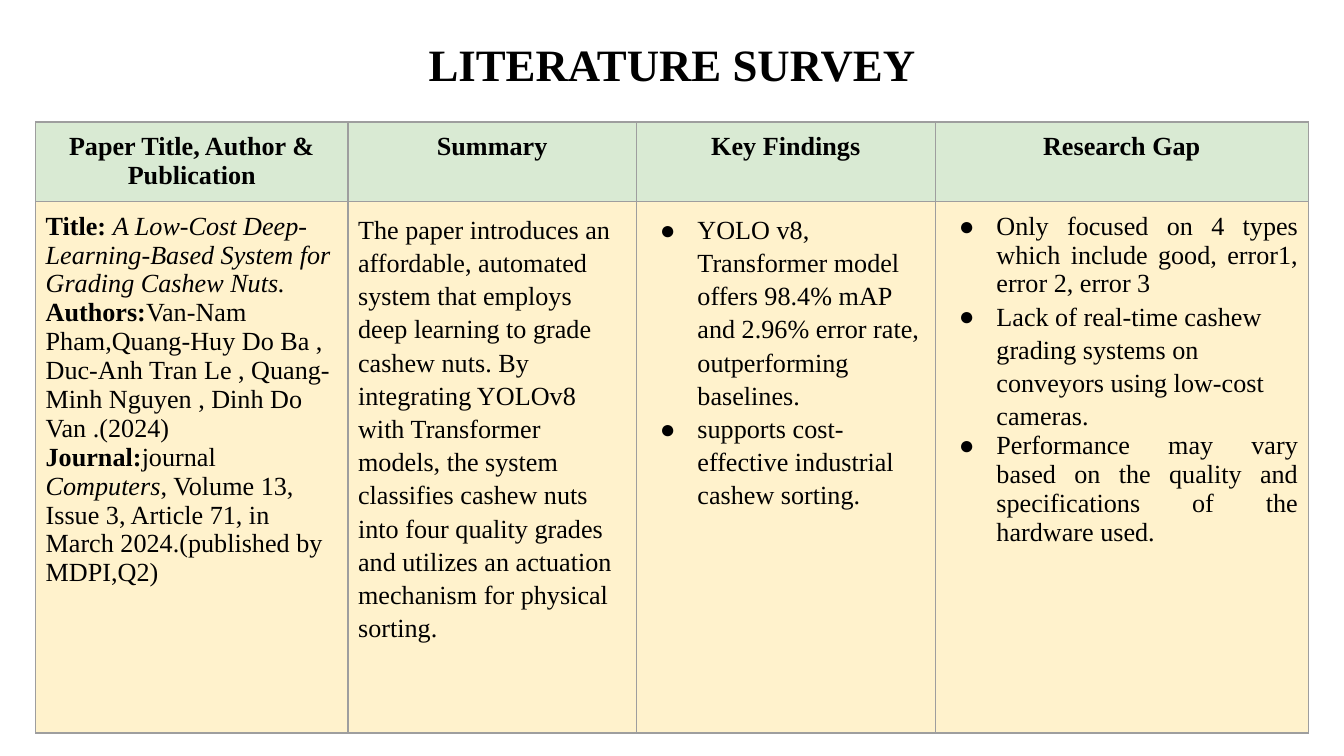
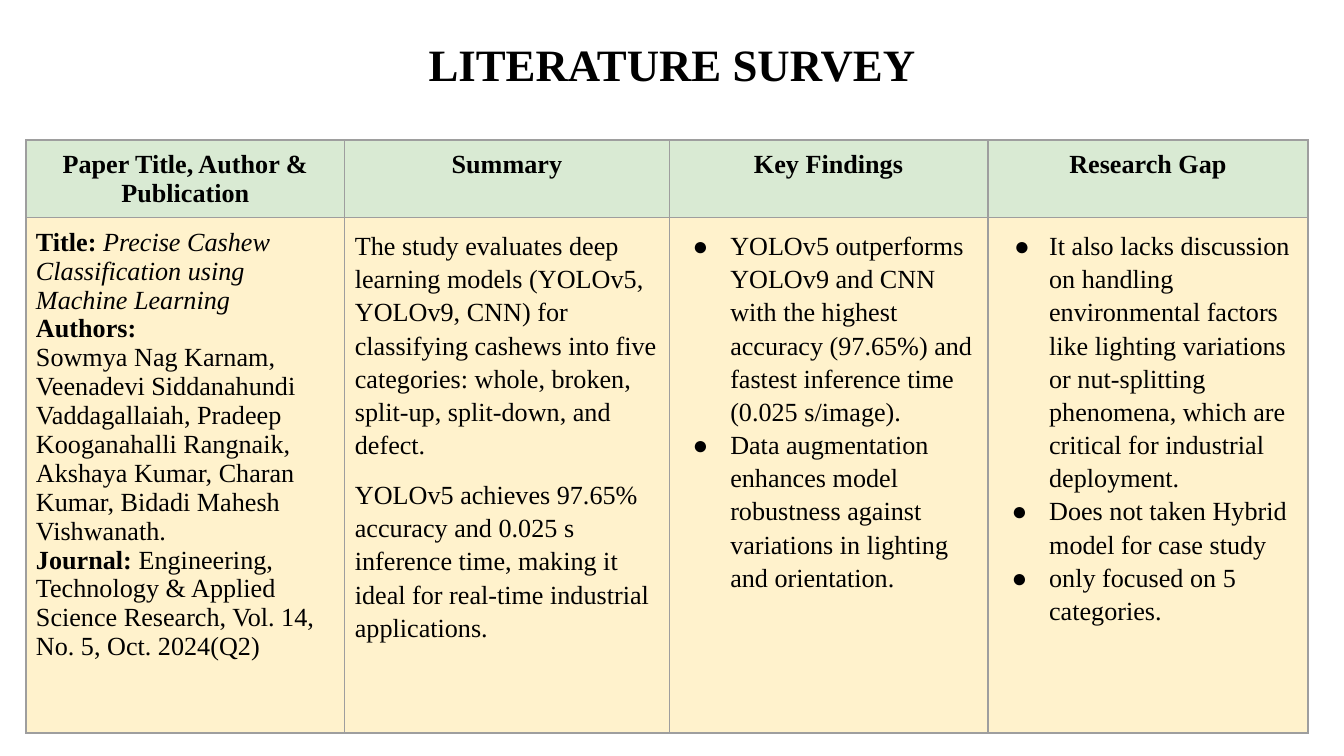
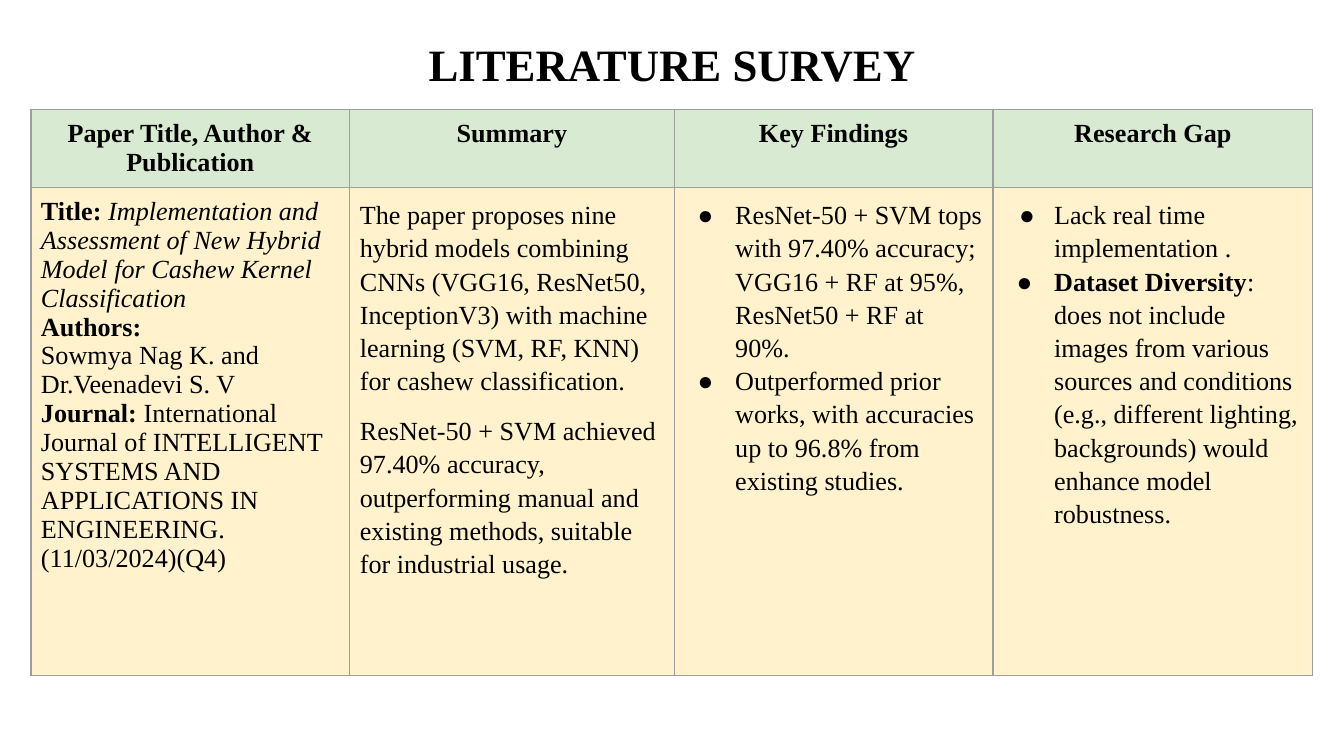
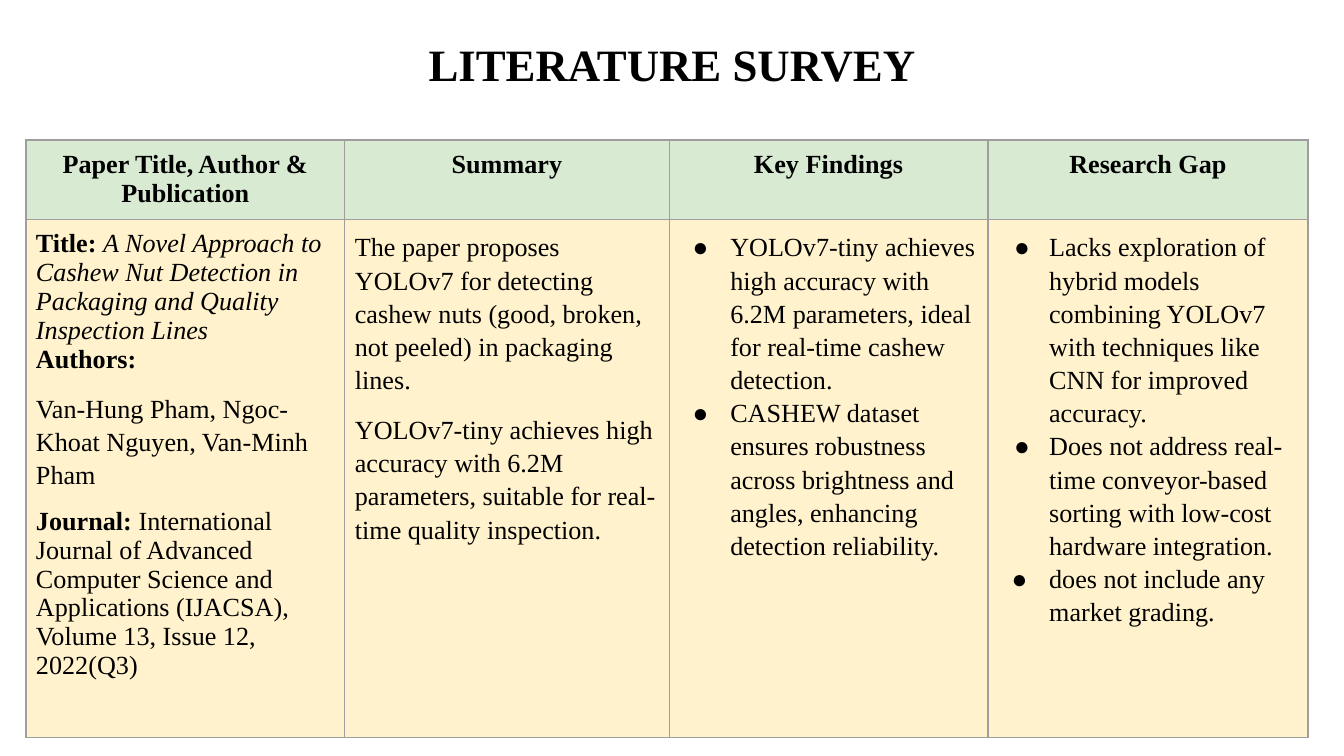
from dataclasses import dataclass

from lxml import etree
from pptx import Presentation
from pptx import util as u
from pptx.dml.color import RGBColor
from pptx.enum import text
from pptx.oxml.ns import qn

COLORS = {"ink": "000000", "header": "D9EAD3", "body": "FFF2CC", "grid": "9E9E9E"}
FONT = "Times New Roman"
SLIDE_W = u.Inches(10)
SLIDE_H = SLIDE_W * 9 // 16
INSET = u.Pt(5.4)
LOOSE = 1.15
GAP = 9
HEADERS = ("Paper Title, Author & Publication", "Summary", "Key Findings", "Research Gap")


@dataclass(frozen=True)
class Run:
    """A stretch of text in one style."""
    text: str
    bold: bool = False
    italic: bool = False


@dataclass(frozen=True)
class Para:
    """A paragraph of runs with its spacing, alignment and bullet."""
    runs: tuple[Run, ...]
    line: float | None = None
    before: float = 0
    align: text.PP_ALIGN = text.PP_ALIGN.LEFT
    hang: float = 0


@dataclass(frozen=True)
class Survey:
    """One reviewed paper; lengths are percentages of the slide's size."""
    left: float
    top: float
    columns: tuple[float, ...]
    rows: tuple[float, float]
    cells: tuple[tuple[Para, ...], ...]


def across(percent: float) -> int:
    """Return a share of the slide's width."""
    return round(SLIDE_W * percent / 100)


def down(percent: float) -> int:
    """Return a share of the slide's height."""
    return round(SLIDE_H * percent / 100)


def labelled(label: str, *runs: Run) -> Para:
    """Return a tight paragraph that opens with a bold label."""
    return Para((Run(label, bold=True), *runs))


def plain(words: str) -> Para:
    """Return a tight paragraph in regular type."""
    return Para((Run(words),))


def prose(*paragraphs: str) -> tuple[Para, ...]:
    """Return loosely set paragraphs with a gap between them."""
    return tuple(Para((Run(words),), LOOSE, GAP if i else 0) for i, words in enumerate(paragraphs))


def bullet(*runs: Run, hang: float = 0.28) -> Para:
    """Return a loosely set bulleted paragraph."""
    return Para(runs, LOOSE, hang=hang)


def tight_bullet(words: str) -> Para:
    """Return a justified bulleted paragraph with single line spacing."""
    return Para((Run(words),), align=text.PP_ALIGN.JUSTIFY, hang=0.28)


def add_bullet(p, hang: float) -> None:
    """Give a paragraph a hanging round bullet."""
    pPr = p._p.get_or_add_pPr()
    pPr.set("marL", str(u.Inches(0.38)))
    pPr.set("indent", str(-u.Inches(hang)))
    color = etree.SubElement(pPr, qn("a:buClr"))
    etree.SubElement(color, qn("a:srgbClr"), val=COLORS["ink"])
    etree.SubElement(pPr, qn("a:buFont"), typeface=FONT)
    etree.SubElement(pPr, qn("a:buChar"), char="●")


def style_run(r, size: int, bold: bool, italic: bool = False) -> None:
    """Apply the shared typeface and colour to a run."""
    r.font.name, r.font.size = FONT, u.Pt(size)
    r.font.bold, r.font.italic = bold, italic
    r.font.color.rgb = RGBColor.from_string(COLORS["ink"])


def write(tf, paras: tuple[Para, ...]) -> None:
    """Fill a text frame with paragraphs."""
    for i, para in enumerate(paras):
        p = tf.add_paragraph() if i else tf.paragraphs[0]
        p.alignment = para.align
        if para.line:
            p.line_spacing = para.line
        if para.before:
            p.space_before = u.Pt(para.before)
        if para.hang:
            add_bullet(p, para.hang)
        for run in para.runs:
            r = p.add_run()
            r.text = run.text
            style_run(r, 14, run.bold, run.italic)


def add_borders(cell) -> None:
    """Draw a thin line on each side of a cell."""
    tcPr = cell._tc.get_or_add_tcPr()
    for i, side in enumerate(("lnL", "lnR", "lnT", "lnB")):
        ln = etree.Element(qn(f"a:{side}"), w=str(u.Pt(0.75)))
        fill = etree.SubElement(ln, qn("a:solidFill"))
        etree.SubElement(fill, qn("a:srgbClr"), val=COLORS["grid"])
        tcPr.insert(i, ln)


def fill_cell(cell, paras: tuple[Para, ...], color: str) -> None:
    """Format a cell and write its paragraphs."""
    cell.margin_left = cell.margin_right = cell.margin_top = cell.margin_bottom = INSET
    cell.vertical_anchor = text.MSO_ANCHOR.TOP
    cell.fill.solid()
    cell.fill.fore_color.rgb = RGBColor.from_string(COLORS[color])
    add_borders(cell)
    write(cell.text_frame, paras)


def add_title(slide) -> None:
    """Place and format the slide title."""
    sp = slide.shapes.title
    sp.left, sp.top, sp.width, sp.height = across(28.5), down(4.2), across(43), down(8.54)
    tf = sp.text_frame
    tf.text = "LITERATURE SURVEY"
    tf.word_wrap, tf.auto_size = True, text.MSO_AUTO_SIZE.NONE
    tf.vertical_anchor = text.MSO_ANCHOR.TOP
    tf.margin_left = tf.margin_right = INSET
    tf.margin_top = tf.margin_bottom = u.Inches(0.04)
    p = tf.paragraphs[0]
    p.alignment = text.PP_ALIGN.CENTER
    style_run(p.runs[0], 24, True)


def add_survey(prs, survey: Survey) -> None:
    """Add a slide with the table for one paper."""
    slide = prs.slides.add_slide(prs.slide_layouts[5])
    add_title(slide)
    frame = slide.shapes.add_table(2, len(HEADERS), across(survey.left), down(survey.top),
                                   across(sum(survey.columns)), down(sum(survey.rows)))
    table = frame.table
    table.first_row = table.horz_banding = False
    for column, width in zip(table.columns, survey.columns):
        column.width = across(width)
    for row, height in zip(table.rows, survey.rows):
        row.height = down(height)
    for i, (header, paras) in enumerate(zip(HEADERS, survey.cells)):
        heading = Para((Run(header, bold=True),), align=text.PP_ALIGN.CENTER)
        fill_cell(table.cell(0, i), (heading,), "header")
        fill_cell(table.cell(1, i), paras, "body")


EVEN_COLUMNS = (23.73, 24.13, 23.73, 23.8)

SURVEYS = (
    Survey(2.65, 16.15, (23.25, 21.45, 22.25, 27.75), (10.55, 70.28), (
        (
            labelled("Title: ", Run("A Low-Cost Deep-Learning-Based System for Grading Cashew Nuts.",
                                    italic=True)),
            labelled("Authors:", Run("Van-Nam Pham,Quang-Huy Do Ba , Duc-Anh Tran Le , "
                                     "Quang-Minh Nguyen , Dinh Do Van .(2024)")),
            labelled("Journal:", Run("journal "), Run("Computers", italic=True),
                     Run(", Volume 13, Issue 3, Article 71, in March 2024.(published by MDPI,Q2)")),
        ),
        prose("The paper introduces an affordable, automated system that employs deep learning to "
              "grade cashew nuts. By integrating YOLOv8 with Transformer models, the system "
              "classifies cashew nuts into four quality grades and utilizes an actuation mechanism "
              "for physical sorting."),
        (
            bullet(Run("YOLO v8, Transformer model offers 98.4% mAP and 2.96% error rate, "
                       "outperforming baselines.")),
            bullet(Run("supports cost-effective industrial cashew sorting.")),
        ),
        (
            tight_bullet("Only focused on 4 types which include good, error1, error 2, error 3"),
            bullet(Run("Lack of real-time cashew grading systems on conveyors using low-cost "
                       "cameras.")),
            tight_bullet("Performance may vary based on the quality and specifications of the "
                         "hardware used."),
        ),
    )),
    Survey(1.93, 18.51, EVEN_COLUMNS, (10.14, 68.15), (
        (
            labelled("Title: ", Run("Precise Cashew Classification using Machine Learning",
                                    italic=True)),
            labelled("Authors:"),
            plain("Sowmya Nag Karnam, Veenadevi Siddanahundi Vaddagallaiah, Pradeep Kooganahalli "
                  "Rangnaik, Akshaya Kumar, Charan Kumar, Bidadi Mahesh Vishwanath."),
            labelled("Journal: ", Run("Engineering, Technology & Applied Science Research, "
                                      "Vol. 14, No. 5, Oct. 2024(Q2)")),
        ),
        prose("The study evaluates deep learning models (YOLOv5, YOLOv9, CNN) for classifying "
              "cashews into five categories: whole, broken, split-up, split-down, and defect.",
              "YOLOv5 achieves 97.65% accuracy and 0.025 s inference time, making it ideal for "
              "real-time industrial applications."),
        (
            bullet(Run("YOLOv5 outperforms YOLOv9 and CNN with the highest accuracy (97.65%) and "
                       "fastest inference time (0.025 s/image).")),
            bullet(Run("Data augmentation enhances model robustness against variations in "
                       "lighting and orientation.")),
        ),
        (
            bullet(Run("It also lacks discussion on handling environmental factors like lighting "
                       "variations or nut-splitting phenomena, which are critical for industrial "
                       "deployment."), hang=0.26),
            bullet(Run("Does not taken Hybrid model for case study")),
            bullet(Run("only focused on 5 categories.")),
        ),
    )),
    Survey(2.3, 14.45, EVEN_COLUMNS, (9.61, 64.59), (
        (
            labelled("Title: ", Run("Implementation and Assessment of New Hybrid Model for Cashew "
                                    "Kernel Classification", italic=True)),
            labelled("Authors:"),
            plain("Sowmya Nag K. and Dr.Veenadevi S. V"),
            labelled("Journal: ", Run("International Journal of INTELLIGENT SYSTEMS AND "
                                      "APPLICATIONS IN ENGINEERING.")),
            plain("(11/03/2024)(Q4)"),
        ),
        prose("The paper proposes nine hybrid models combining CNNs (VGG16, ResNet50, "
              "InceptionV3) with machine learning (SVM, RF, KNN) for cashew classification.",
              "ResNet-50 + SVM achieved 97.40% accuracy, outperforming manual and existing "
              "methods, suitable for industrial usage."),
        (
            bullet(Run("ResNet-50 + SVM tops with 97.40% accuracy; VGG16 + RF at 95%, "
                       "ResNet50 + RF at 90%.")),
            bullet(Run("Outperformed prior works, with accuracies up to 96.8% from existing "
                       "studies.")),
        ),
        (
            bullet(Run("Lack real time implementation ."), hang=0.26),
            bullet(Run("Dataset Diversity", bold=True),
                   Run(": does not include images from various sources and conditions (e.g., "
                       "different lighting, backgrounds) would enhance model robustness.")),
        ),
    )),
    Survey(1.93, 18.51, EVEN_COLUMNS, (10.5, 68.51), (
        (
            labelled("Title: ", Run("A Novel Approach to Cashew Nut Detection in Packaging and "
                                    "Quality Inspection Lines", italic=True)),
            labelled("Authors:"),
            Para((Run("Van-Hung Pham, Ngoc-Khoat Nguyen, Van-Minh Pham"),), LOOSE, GAP),
            Para((Run("Journal: ", bold=True),
                  Run("International Journal of Advanced Computer Science and Applications "
                      "(IJACSA), Volume 13, Issue 12, 2022(Q3)")), before=GAP),
        ),
        prose("The paper proposes YOLOv7 for detecting cashew nuts (good, broken, not peeled) in "
              "packaging lines.",
              "YOLOv7-tiny achieves high accuracy with 6.2M parameters, suitable for real-time "
              "quality inspection."),
        (
            bullet(Run("YOLOv7-tiny achieves high accuracy with 6.2M parameters, ideal for "
                       "real-time cashew detection.")),
            bullet(Run("CASHEW dataset ensures robustness across brightness and angles, "
                       "enhancing detection reliability.")),
        ),
        (
            bullet(Run("Lacks exploration of hybrid models combining YOLOv7 with techniques like "
                       "CNN for improved accuracy."), hang=0.26),
            bullet(Run("Does not address real-time conveyor-based sorting with low-cost hardware "
                       "integration."), hang=0.26),
            bullet(Run("does not include any market grading.")),
        ),
    )),
)


def main() -> None:
    """Build the deck and save it."""
    prs = Presentation()
    prs.slide_width, prs.slide_height = SLIDE_W, SLIDE_H
    for survey in SURVEYS:
        add_survey(prs, survey)
    prs.save("out.pptx")


if __name__ == "__main__":
    main()
